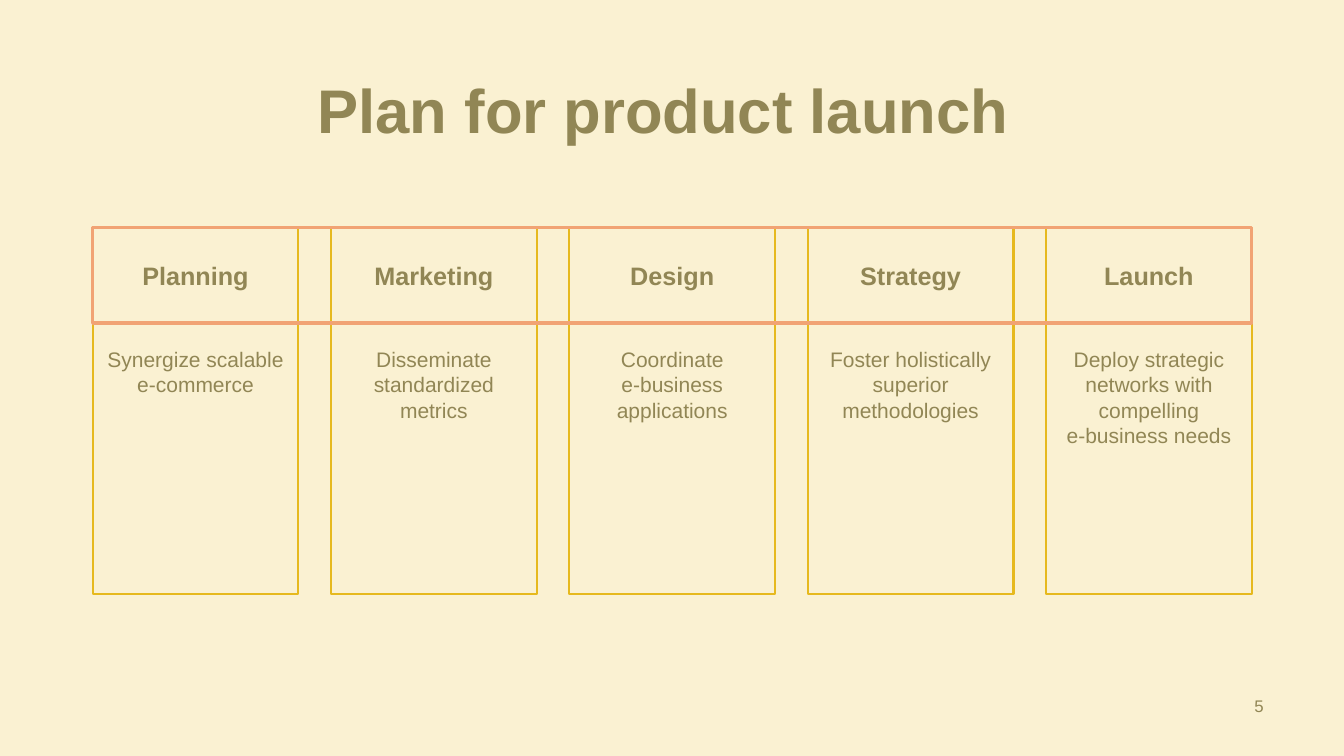
import pptx
import pptx.dml.color
import pptx.enum.shapes
import pptx.enum.text
import pptx.util

Pt = pptx.util.Pt
ANCHOR = pptx.enum.text.MSO_ANCHOR

OLIVE = "918655"
GOLD = "E6B91E"
PEACH = "F1A374"
CREAM = "FAF1D2"

LEFT, WIDTH = 66.2, 828
STAGE_WIDTH = 147
HEAD_TOP, HEAD_HEIGHT = 162.7, 68
BODY_TOP, BODY_HEIGHT = 230.4, 194

STAGES = [
    ("Planning", "Synergize scalable\ne-commerce"),
    ("Marketing", "Disseminate standardized metrics"),
    ("Design", "Coordinate\ne-business applications"),
    ("Strategy", "Foster holistically superior methodologies"),
    ("Launch", "Deploy strategic networks with compelling\ne-business needs"),
]


def color(code):
    return pptx.dml.color.RGBColor.from_string(code)


def write(shape, text, size, bold=False, anchor=ANCHOR.MIDDLE, top=3.6, right=7.2):
    """Fill a shape with centred text; top and right are its insets."""
    frame = shape.text_frame
    frame.word_wrap = True
    frame.vertical_anchor = anchor
    frame.margin_top = Pt(top)
    frame.margin_right = Pt(right)
    frame.text = text
    for para in frame.paragraphs:
        para.alignment = pptx.enum.text.PP_ALIGN.CENTER
        for run in para.runs:
            run.font.name = "Arial"
            run.font.size = Pt(size)
            run.font.bold = bold
            run.font.color.rgb = color(OLIVE)


def add_label(slide, x, y, width, height):
    return slide.shapes.add_textbox(Pt(x), Pt(y), Pt(width), Pt(height))


def add_frame(slide, x, y, width, height, line, weight):
    """Add a rectangle with an outline and no fill."""
    shape = slide.shapes.add_shape(
        pptx.enum.shapes.MSO_SHAPE.RECTANGLE, Pt(x), Pt(y), Pt(width), Pt(height))
    shape.shadow.inherit = False
    shape.fill.background()
    shape.line.color.rgb = color(line)
    shape.line.width = Pt(weight)
    return shape


def add_stage(slide, x, head, body):
    box = add_frame(slide, x, HEAD_TOP, STAGE_WIDTH, HEAD_HEIGHT, GOLD, 1.5)
    write(box, head, 18, bold=True)
    box = add_frame(slide, x, BODY_TOP, STAGE_WIDTH, BODY_HEIGHT, GOLD, 1.5)
    write(box, body, 15, anchor=ANCHOR.TOP, top=17.3)


def main():
    deck = pptx.Presentation()
    deck.slide_width = Pt(960)
    deck.slide_height = Pt(540)
    slide = deck.slides.add_slide(deck.slide_layouts[6])
    slide.background.fill.solid()
    slide.background.fill.fore_color.rgb = color(CREAM)

    title = add_label(slide, LEFT, 28.8, WIDTH, 104.4)
    write(title, "Plan for product launch", 44, bold=True, right=19.4)
    title.text_frame.paragraphs[0].line_spacing = 0.9

    step = (WIDTH - STAGE_WIDTH) / (len(STAGES) - 1)
    for index, (head, body) in enumerate(STAGES):
        add_stage(slide, LEFT + index * step, head, body)
    add_frame(slide, LEFT, HEAD_TOP, WIDTH, HEAD_HEIGHT, PEACH, 2.25)

    number = add_label(slide, 881.3, 489.6, 36, 28.8)
    write(number, "5", 12)

    deck.save("out.pptx")


if __name__ == "__main__":
    main()
